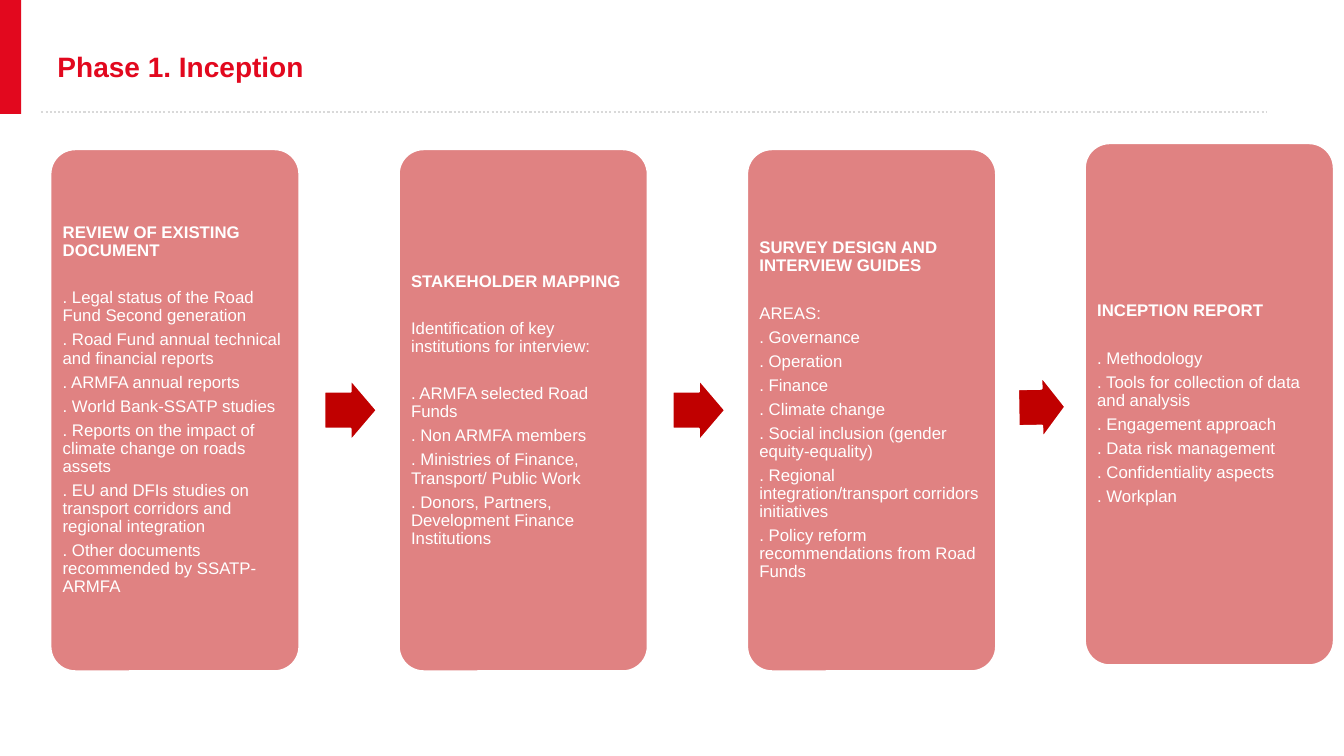
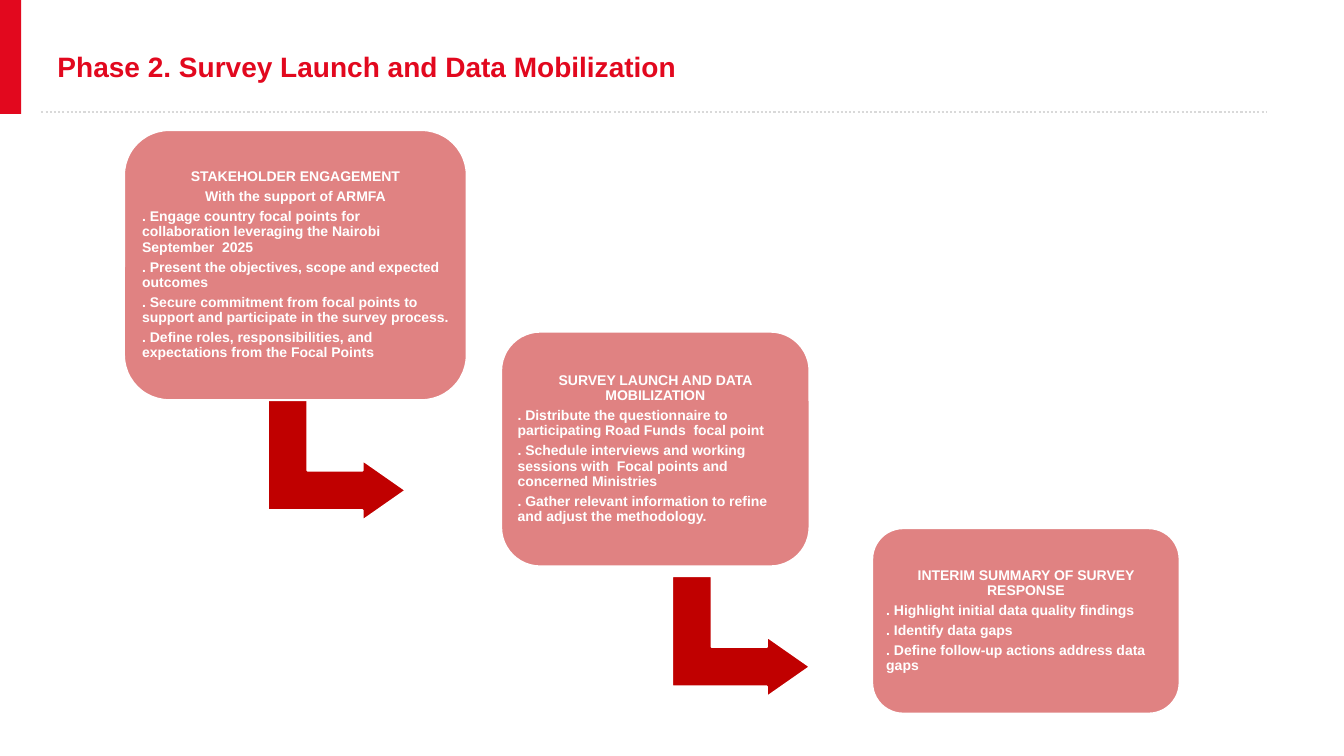
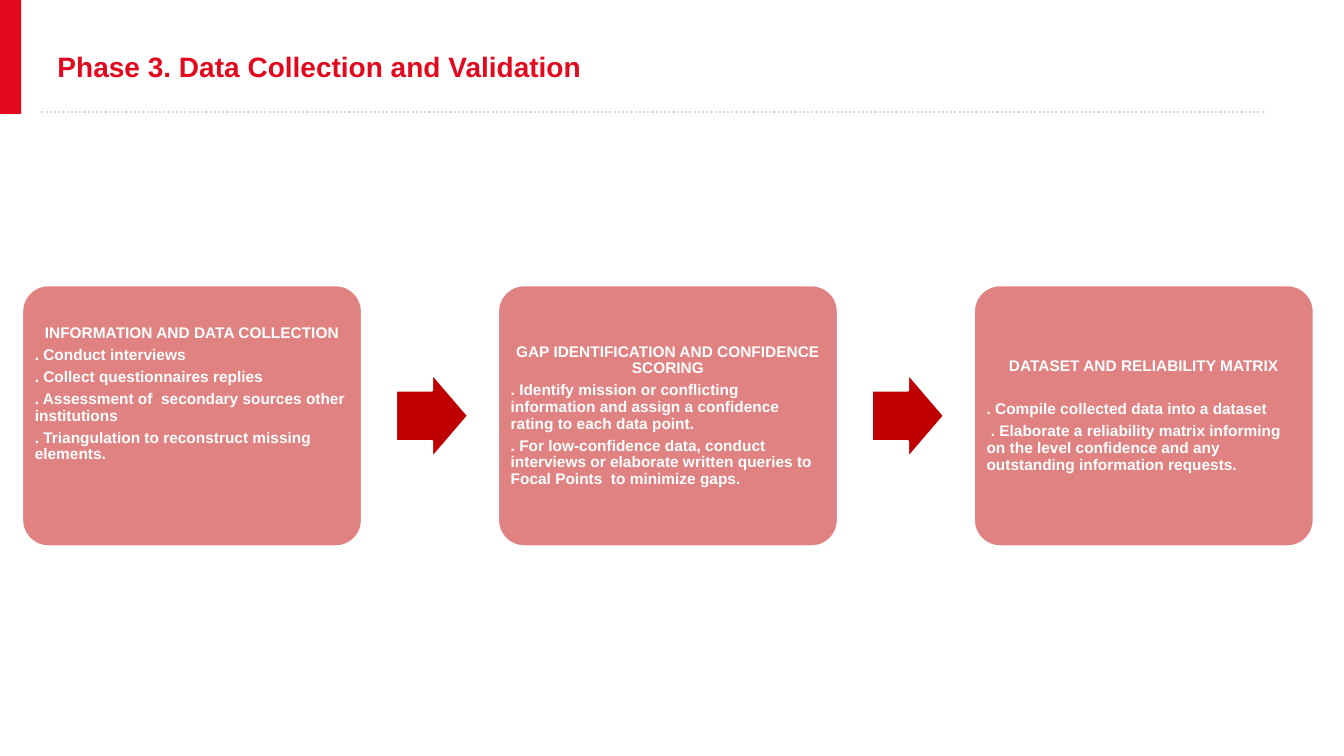
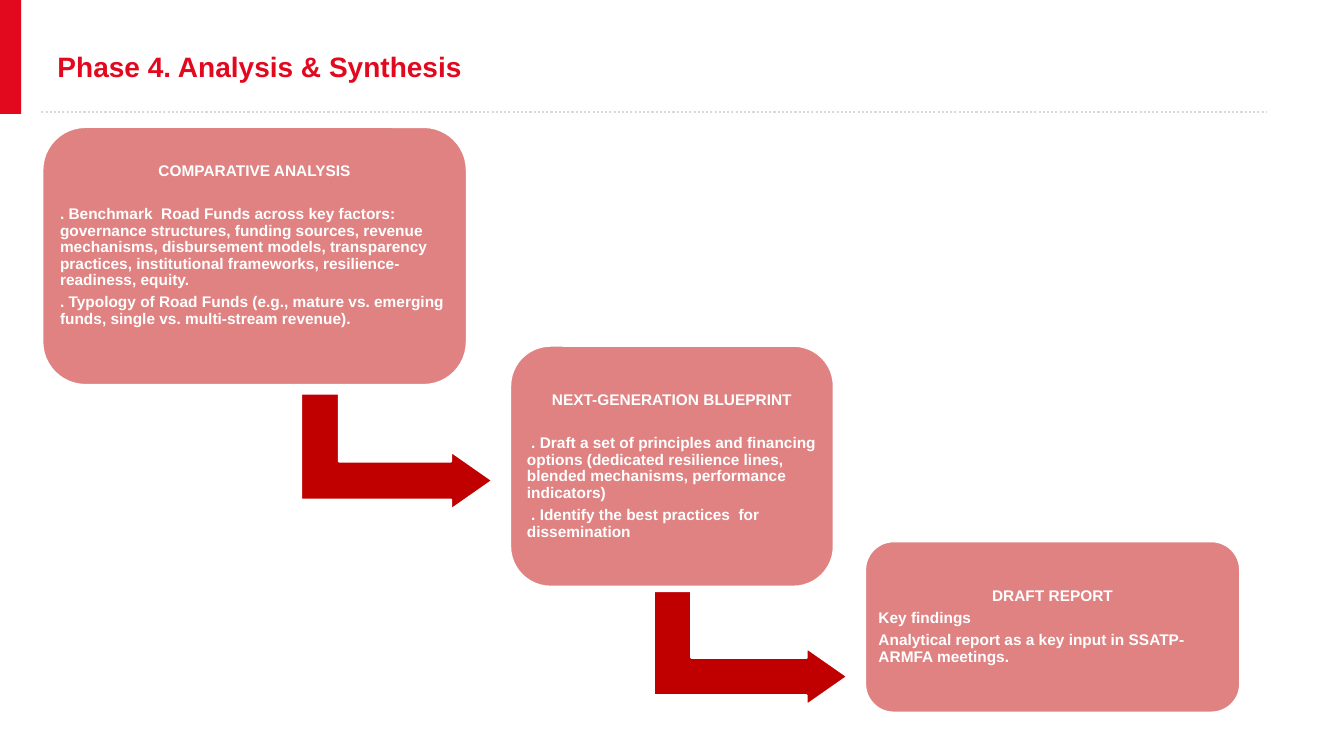
import math

import pptx
import pptx.dml.color
import pptx.enum.dml
import pptx.enum.shapes
import pptx.enum.text
import pptx.oxml
import pptx.oxml.ns
import pptx.util

Inches, Pt = pptx.util.Inches, pptx.util.Pt
SHAPE = pptx.enum.shapes.MSO_SHAPE
ALIGN = pptx.enum.text.PP_ALIGN
ANCHOR = pptx.enum.text.MSO_ANCHOR
FONT, RED, DARK_RED, WHITE, GREY = "Arial", "E2081E", "C00000", "FFFFFF", "D9D9D9"
LINE_SPACING, PARA_GAP, BLANK_LINE = 0.9, 0.35, 1.035

ROW_1 = [(0.5 + 3.455 * i, 1.48, 2.47, 5.18) for i in range(3)] + [(10.76, 1.42, 2.47, 5.18)]
ROW_3 = [(0.22 + 4.72 * i, 2.83, 3.37, 2.59) for i in range(3)]
STEPS_2 = [(1.23, 1.29, 3.4, 2.68), (4.97, 3.29, 3.06, 2.33), (8.65, 5.24, 3.05, 1.84)]
STEPS_4 = [(0.42, 1.26, 4.21, 2.56), (5.06, 3.43, 3.21, 2.39), (8.58, 5.37, 3.72, 1.7)]
ELBOWS_2 = [(2.74, 3.88, 1.2, 1.37), (6.75, 5.63, 1.2, 1.37)]
ELBOWS_4 = [(3.36, 3.53, 1.15, 1.9), (6.88, 5.47, 1.13, 1.92)]

PHASES = [
    dict(title="Phase 1. Inception", size=12, boxes=ROW_1, radius=0.1,
         align=ALIGN.LEFT, bold_body=False, cards=[
        dict(blocks=[["REVIEW OF EXISTING DOCUMENT"], [
            ". Legal status of the Road Fund Second generation",
            ". Road Fund annual technical and financial reports",
            ". ARMFA annual reports",
            ". World Bank-SSATP studies",
            ". Reports on the impact of climate change on roads assets",
            ". EU and DFIs studies on transport corridors and regional integration",
            ". Other documents recommended by SSATP-ARMFA"]]),
        dict(blocks=[["STAKEHOLDER MAPPING"],
                     ["Identification of key institutions for interview:"], [
            ". ARMFA selected Road Funds",
            ". Non ARMFA members",
            ". Ministries of Finance, Transport/ Public Work",
            ". Donors, Partners, Development Finance Institutions"]]),
        dict(blocks=[["SURVEY DESIGN AND INTERVIEW GUIDES"], [
            "AREAS:",
            ". Governance",
            ". Operation",
            ". Finance",
            ". Climate change",
            ". Social inclusion (gender equity-equality)",
            ". Regional integration/transport corridors initiatives",
            ". Policy reform recommendations from Road Funds"]]),
        dict(blocks=[["INCEPTION REPORT"], [
            ". Methodology",
            ". Tools for collection of data and analysis",
            ". Engagement approach",
            ". Data risk management",
            ". Confidentiality aspects",
            ". Workplan"]])]),
    dict(title="Phase 2. Survey Launch and Data Mobilization", size=10, boxes=STEPS_2,
         radius=0.167, elbows=ELBOWS_2, cards=[
        dict(heads=2, blocks=[[
            "STAKEHOLDER ENGAGEMENT",
            "With the support of ARMFA",
            ". Engage country focal points for collaboration leveraging the Nairobi September  2025",
            ". Present the objectives, scope and expected outcomes",
            ". Secure commitment from focal points to support and participate in the survey process.",
            ". Define roles, responsibilities, and expectations from the Focal Points"]]),
        dict(blocks=[[
            "SURVEY LAUNCH AND DATA MOBILIZATION",
            ". Distribute the questionnaire to participating Road Funds  focal point",
            ". Schedule interviews and working sessions with  Focal points and concerned Ministries",
            ". Gather relevant information to refine and adjust the methodology."]]),
        dict(blocks=[[
            "INTERIM SUMMARY OF SURVEY RESPONSE",
            ". Highlight initial data quality findings",
            ". Identify data gaps",
            ". Define follow-up actions address data gaps"]])]),
    dict(title="Phase 3. Data Collection and Validation", size=11, boxes=ROW_3,
         radius=0.1, cards=[
        dict(foot=2, blocks=[[
            "INFORMATION AND DATA COLLECTION",
            ". Conduct interviews",
            ". Collect questionnaires replies",
            ". Assessment of  secondary sources other institutions",
            ". Triangulation to reconstruct missing elements."]]),
        dict(blocks=[[
            "GAP IDENTIFICATION AND CONFIDENCE SCORING",
            ". Identify mission or conflicting information and assign a confidence rating to each data point.",
            ". For low-confidence data, conduct interviews or elaborate written queries to Focal Points  to minimize gaps."]]),
        dict(blocks=[["DATASET AND RELIABILITY MATRIX"], [
            ". Compile collected data into a dataset",
            " . Elaborate a reliability matrix informing on the level confidence and any outstanding information requests."]])]),
    dict(title="Phase 4. Analysis & Synthesis", size=11, boxes=STEPS_4,
         radius=0.167, elbows=ELBOWS_4, cards=[
        dict(foot=1, blocks=[["COMPARATIVE ANALYSIS"], [
            ". Benchmark  Road Funds across key factors: governance structures, funding sources, revenue mechanisms, disbursement models, transparency practices, institutional frameworks, resilience-readiness, equity.",
            ". Typology of Road Funds (e.g., mature vs. emerging funds, single vs. multi-stream revenue)."]]),
        dict(blocks=[["NEXT-GENERATION BLUEPRINT"], [
            " . Draft a set of principles and financing options (dedicated resilience lines, blended mechanisms, performance indicators)",
            " . Identify the best practices  for dissemination"]]),
        dict(blocks=[[
            "DRAFT REPORT",
            "Key findings",
            "Analytical report as a key input in SSATP-ARMFA meetings."]])]),
]


def rgb(value):
    return pptx.dml.color.RGBColor.from_string(value)


def xml(tag, inner=""):
    ns = pptx.oxml.ns.nsdecls("a")
    return pptx.oxml.parse_xml(f"<a:{tag} {ns}>{inner}</a:{tag.split()[0]}>")


def set_margins(tf, side, end):
    tf.margin_left = tf.margin_right = Inches(side)
    tf.margin_top = tf.margin_bottom = Inches(end)


def add_preset(slide, kind, box, fill, line=WHITE, adj=(), rotation=0):
    sp = slide.shapes.add_shape(kind, *map(Inches, box))
    sp.shadow.inherit = False
    sp.fill.solid()
    sp.fill.fore_color.rgb = rgb(fill)
    if line:
        sp.line.color.rgb = rgb(line)
        sp.line.width = Pt(1.5)
    else:
        sp.line.fill.background()
    for i, value in enumerate(adj):
        sp.adjustments[i] = value
    sp.rotation = rotation
    return sp


def style_layout(layout, slide):
    title = layout.placeholders[0]
    title.left, title.top, title.width, title.height = map(Inches, (0.45, 0.43, 12.43, 0.46))
    tf = title.text_frame
    tf.vertical_anchor = ANCHOR.MIDDLE
    tf.auto_size = pptx.enum.text.MSO_AUTO_SIZE.NONE
    set_margins(tf, 0.12, 0.06)
    style = tf._txBody.find(pptx.oxml.ns.qn("a:lstStyle"))
    style.append(xml('lvl1pPr algn="l"',
                     f'<a:defRPr sz="2000" b="1"><a:solidFill><a:srgbClr val="{RED}"/></a:solidFill>'
                     f'<a:latin typeface="{FONT}"/></a:defRPr>'))
    band = add_preset(slide, SHAPE.RECTANGLE, (0, 0, 0.21, 1.13), RED, None)
    rule = slide.shapes.add_connector(pptx.enum.shapes.MSO_CONNECTOR.STRAIGHT,
                                      *map(Inches, (0.41, 1.11, 12.56, 1.11)))
    rule.line.color.rgb = rgb(GREY)
    rule.line.width = Pt(1.5)
    rule.line.dash_style = pptx.enum.dml.MSO_LINE.ROUND_DOT
    rule._element.spPr.append(xml("effectLst"))
    for sp in (rule, band):
        layout.shapes._spTree.insert(2, sp._element)


def add_card(slide, box, phase, card):
    size = phase["size"]
    sp = add_preset(slide, SHAPE.ROUNDED_RECTANGLE, box, DARK_RED, adj=[phase["radius"]])
    sp.fill._xPr.find(".//" + pptx.oxml.ns.qn("a:srgbClr")).append(xml('alpha val="49000"'))
    tf = sp.text_frame
    tf.word_wrap = True
    tf.vertical_anchor = ANCHOR.MIDDLE
    set_margins(tf, 0.05, 0.05)
    tf.margin_bottom += Pt(card.get("foot", 0) * size * (PARA_GAP + BLANK_LINE))
    lines = [(text, i == 0) for block in card["blocks"] for i, text in enumerate(block)]
    tf.text = "\n".join(text for text, _ in lines)
    for i, (p, (_, opens_block)) in enumerate(zip(tf.paragraphs, lines)):
        is_head = i < card.get("heads", 1)
        p.alignment = phase.get("align", ALIGN.CENTER) if is_head else ALIGN.LEFT
        p.line_spacing = LINE_SPACING
        if i:
            p.space_before = Pt(round(size * (2 * PARA_GAP + BLANK_LINE if opens_block else PARA_GAP), 1))
        for r in p.runs:
            r.font.name = FONT
            r.font.size = Pt(size)
            r.font.bold = is_head or phase.get("bold_body", True)
            r.font.color.rgb = rgb(WHITE)


def add_row_arrow(slide, a, b):
    gap = b[0] - a[0] - a[2]
    height = 0.248 * a[2]
    middle = (a[1] + a[3] / 2 + b[1] + b[3] / 2) / 2
    box = (a[0] + a[2] + 0.25 * gap, middle - height / 2, 0.53 * gap, height)
    angle = math.degrees(math.atan2(b[1] - a[1], b[0] - a[0]))
    add_preset(slide, SHAPE.RIGHT_ARROW, box, DARK_RED, adj=(0.6, 0.5), rotation=angle)


def main():
    prs = pptx.Presentation()
    prs.slide_width, prs.slide_height = Inches(13.33), Inches(7.5)
    layout = prs.slide_layouts[5]
    for n, phase in enumerate(PHASES):
        slide = prs.slides.add_slide(layout)
        if n == 0:
            style_layout(layout, slide)
        slide.shapes.title.text_frame.text = phase["title"]
        boxes = phase["boxes"]
        if "elbows" in phase:
            for box in phase["elbows"]:
                add_preset(slide, SHAPE.BENT_UP_ARROW, box, DARK_RED,
                           adj=(0.328, 0.25, 0.358), rotation=90)
        else:
            for a, b in zip(boxes, boxes[1:]):
                add_row_arrow(slide, a, b)
        for box, card in zip(boxes, phase["cards"]):
            add_card(slide, box, phase, card)
    prs.save("out.pptx")


if __name__ == "__main__":
    main()
